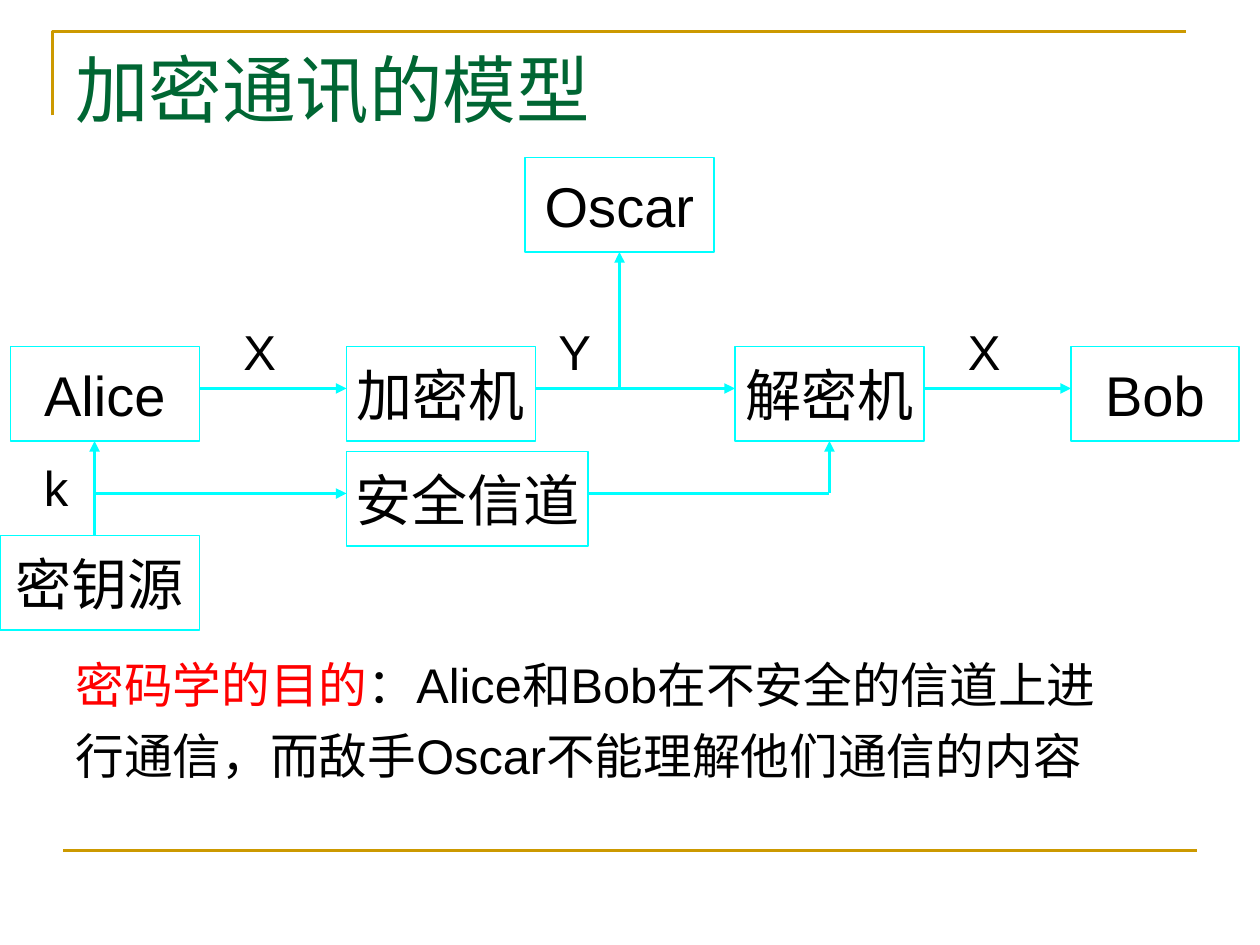
from dataclasses import dataclass

from lxml import etree
from pptx import Presentation
from pptx.dml.color import RGBColor
from pptx.enum.shapes import MSO_CONNECTOR, MSO_SHAPE
from pptx.enum.text import MSO_ANCHOR, PP_ALIGN
from pptx.oxml.ns import qn
from pptx.util import Pt

EMU_PER_PX = 9525  # 96 px to the inch
RECTANGLE = MSO_SHAPE.RECTANGLE
STRAIGHT = MSO_CONNECTOR.STRAIGHT
MIDDLE = MSO_ANCHOR.MIDDLE
CENTER = PP_ALIGN.CENTER


@dataclass(frozen=True)
class Theme:
    ink: RGBColor = RGBColor(0, 0, 0)
    title: RGBColor = RGBColor(0x00, 0x66, 0x33)
    emphasis: RGBColor = RGBColor(0xFF, 0, 0)
    diagram: RGBColor = RGBColor(0, 0xFF, 0xFF)
    rule: RGBColor = RGBColor(0xCC, 0x99, 0)
    title_font: str = "Times New Roman"
    body_font: str = "Arial"
    title_size: float = 42
    node_size: float = 32
    label_size: float = 28
    body_size: float = 27.8
    body_gap: float = 7.5
    node_line: float = 0.75
    arrow_line: float = 2
    rule_line: float = 1.5


@dataclass(frozen=True)
class Node:
    text: str
    left: int
    top: int
    width: int = 144
    height: int = 72


@dataclass(frozen=True)
class Label:
    text: str
    left: int
    top: int = 240
    width: int = 48
    height: int = 55


@dataclass(frozen=True)
class Link:
    start: tuple[int, int]
    end: tuple[int, int]
    arrow: bool = True


THEME = Theme()

NODES = [
    Node("Alice", 8, 264),
    Node("加密机", 264, 264),
    Node("Oscar", 400, 120),
    Node("解密机", 560, 264),
    Node("Bob", 816, 264, width=128),
    Node("密钥源", 0, 408, width=152),
    Node("安全信道", 264, 344, width=184),
]

LABELS = [Label("X", 176), Label("Y", 416), Label("X", 728), Label("k", 24, top=344)]

LINKS = [
    Link((152, 296), (264, 296)),
    Link((408, 296), (560, 296)),
    Link((472, 296), (472, 192)),
    Link((704, 296), (816, 296)),
    Link((72, 408), (72, 336)),
    Link((72, 376), (264, 376)),
    Link((448, 376), (632, 376), arrow=False),
    Link((632, 376), (632, 336)),
]

PURPOSE = [
    [("密码学的目的", THEME.emphasis), ("：Alice和Bob在不安全的信道上进", THEME.ink)],
    [("行通信，而敌手Oscar不能理解他们通信的内容", THEME.ink)],
]


def px(*lengths: int) -> list[int]:
    return [length * EMU_PER_PX for length in lengths]


def style_run(run, size: float, color: RGBColor, font: str = THEME.body_font) -> None:
    run.font.size = Pt(size)
    run.font.name = font
    run.font.color.rgb = color


def style_line(line, color: RGBColor, width: float) -> None:
    line.color.rgb = color
    line.width = Pt(width)


def add_text_box(slide, left: int, top: int, width: int, height: int):
    frame = slide.shapes.add_textbox(*px(left, top, width, height)).text_frame
    frame.word_wrap = True
    return frame


def draw_node(slide, node: Node) -> None:
    box = slide.shapes.add_shape(
        RECTANGLE, *px(node.left, node.top, node.width, node.height))
    box.shadow.inherit = False
    box.fill.background()
    style_line(box.line, THEME.diagram, THEME.node_line)
    frame = box.text_frame
    frame.text = node.text
    frame.word_wrap = False
    frame.vertical_anchor = MIDDLE
    caption = frame.paragraphs[0]
    caption.alignment = CENTER
    style_run(caption.runs[0], THEME.node_size, THEME.ink)


def draw_label(slide, label: Label) -> None:
    frame = add_text_box(slide, label.left, label.top, label.width, label.height)
    frame.text = label.text
    style_run(frame.paragraphs[0].runs[0], THEME.label_size, THEME.ink)


def draw_link(slide, link: Link, color: RGBColor, width: float) -> None:
    connector = slide.shapes.add_connector(STRAIGHT, *px(*link.start, *link.end))
    style_line(connector.line, color, width)
    properties = connector._element.spPr
    if link.arrow:
        etree.SubElement(properties.find(qn("a:ln")), qn("a:tailEnd"), type="triangle")
    etree.SubElement(properties, qn("a:effectLst"))


def draw_frame(slide) -> None:
    """Draw the corner rule above the title and the rule at the foot."""
    builder = slide.shapes.build_freeform(*px(40, 88), scale=1.0)
    builder.add_line_segments([px(40, 24), px(904, 24)], close=False)
    corner = builder.convert_to_shape()
    corner.shadow.inherit = False
    corner.fill.background()
    style_line(corner.line, THEME.rule, THEME.rule_line)
    foot = Link((48, 648), (912, 648), arrow=False)
    draw_link(slide, foot, THEME.rule, THEME.rule_line)


def draw_title(slide) -> None:
    frame = add_text_box(slide, 48, 29, 864, 120)
    frame.text = "加密通讯的模型"
    style_run(frame.paragraphs[0].runs[0], THEME.title_size, THEME.title,
              THEME.title_font)


def draw_purpose(slide) -> None:
    frame = add_text_box(slide, 48, 494, 864, 149)
    for index, phrases in enumerate(PURPOSE):
        paragraph = frame.add_paragraph() if index else frame.paragraphs[0]
        paragraph.space_before = Pt(THEME.body_gap if index else 0)
        for text, color in phrases:
            run = paragraph.add_run()
            run.text = text
            style_run(run, THEME.body_size, color)


def main() -> None:
    presentation = Presentation()
    presentation.slide_width, presentation.slide_height = px(960, 720)
    slide = presentation.slides.add_slide(presentation.slide_layouts[6])
    draw_frame(slide)
    draw_title(slide)
    for node in NODES:
        draw_node(slide, node)
    for label in LABELS:
        draw_label(slide, label)
    for link in LINKS:
        draw_link(slide, link, THEME.diagram, THEME.arrow_line)
    draw_purpose(slide)
    presentation.save("out.pptx")


if __name__ == "__main__":
    main()
